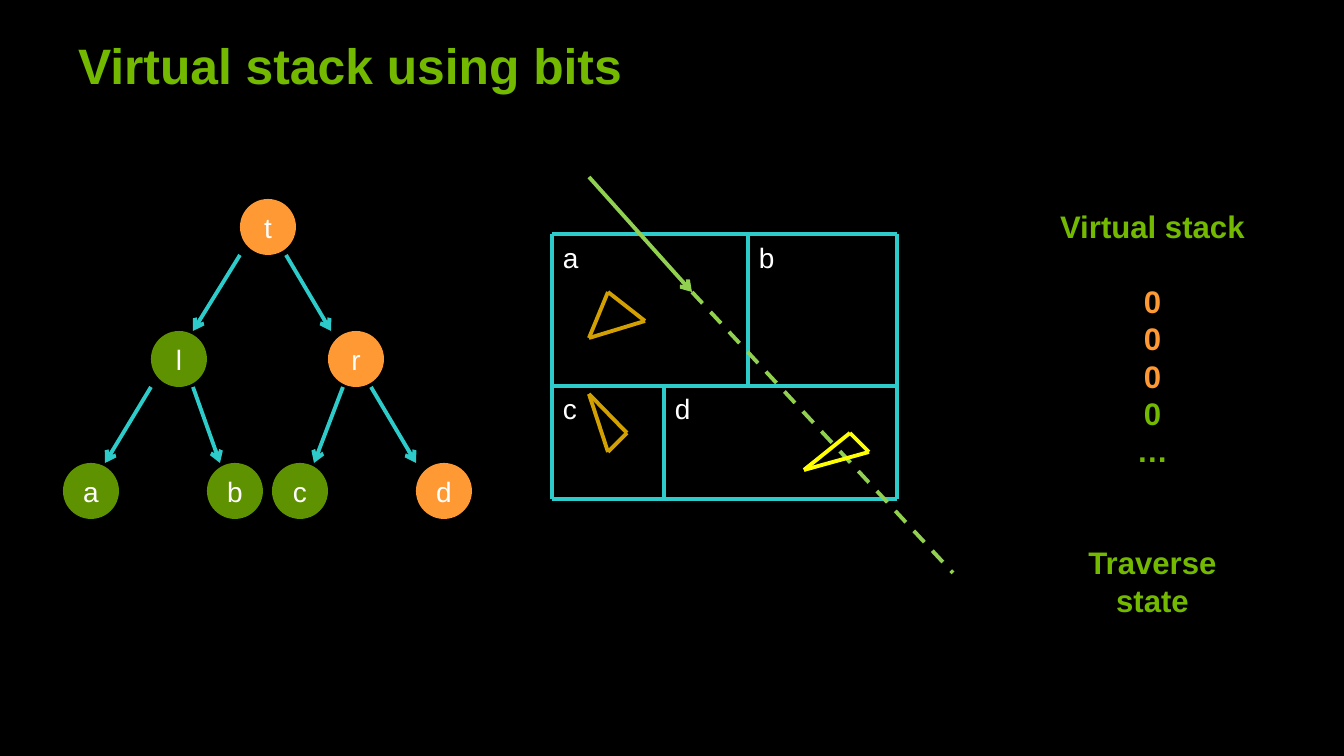
"""Build the slide that explains a virtual stack of bits for tree traversal."""
from itertools import combinations

from lxml.etree import SubElement
from pptx import Presentation
from pptx.dml.color import RGBColor
from pptx.enum.dml import MSO_LINE
from pptx.enum.shapes import MSO_CONNECTOR, MSO_SHAPE
from pptx.enum.text import MSO_ANCHOR, PP_ALIGN
from pptx.oxml.ns import qn
from pptx.util import Pt


class Theme:
    font = "Arial"
    background = RGBColor.from_string("000000")
    heading = RGBColor.from_string("73B900")
    visited = RGBColor.from_string("FF9933")
    skipped = RGBColor.from_string("5E9200")
    label = RGBColor.from_string("FFFFFF")
    cell = RGBColor.from_string("2ECBCB")
    ray = RGBColor.from_string("92D050")
    missed = RGBColor.from_string("D2A000")
    hit = RGBColor.from_string("FFFF00")
    title_size = Pt(32)
    stack_size = Pt(20)
    label_size = Pt(18)
    stack_pitch = Pt(24)
    stroke = Pt(2.5)


def px(*lengths):
    return [round(length * 914400 / 112) for length in lengths]


def write(frame, text, size=Theme.label_size, color=Theme.label, bold=False,
          align=PP_ALIGN.LEFT, anchor=MSO_ANCHOR.TOP, wrap=True,
          pitch=None, before=Pt(0), first=True):
    frame.word_wrap = wrap
    frame.vertical_anchor = anchor
    paragraph = frame.paragraphs[0] if first else frame.add_paragraph()
    paragraph.alignment = align
    paragraph.space_before = before
    if pitch:
        paragraph.line_spacing = pitch
    run = paragraph.add_run()
    run.text = text
    run.font.name = Theme.font
    run.font.size = size
    run.font.bold = bold
    run.font.color.rgb = color


deck = Presentation()
deck.slide_width, deck.slide_height = px(1344, 756)
slide = deck.slides.add_slide(deck.slide_layouts[6])
slide.background.fill.solid()
slide.background.fill.fore_color.rgb = Theme.background
shapes = slide.shapes

title = shapes.add_textbox(*px(67, 30, 1128, 70)).text_frame
write(title, "Virtual stack using bits", size=Theme.title_size,
      color=Theme.heading, bold=True, anchor=MSO_ANCHOR.BOTTOM)

tree_nodes = [
    ("t", 240, 199, Theme.visited),
    ("l", 151, 331, Theme.skipped),
    ("r", 328, 331, Theme.visited),
    ("a", 63, 463, Theme.skipped),
    ("b", 207, 463, Theme.skipped),
    ("c", 272, 463, Theme.skipped),
    ("d", 416, 463, Theme.visited),
]
for name, left, top, color in tree_nodes:
    node = shapes.add_shape(MSO_SHAPE.OVAL, *px(left, top, 56, 56))
    node.shadow.inherit = False
    node.fill.solid()
    node.fill.fore_color.rgb = color
    node.line.fill.background()
    write(node.text_frame, name, align=PP_ALIGN.CENTER, anchor=MSO_ANCHOR.MIDDLE)

tree_edges = [
    (240, 255, 193, 331), (286, 255, 331, 331),
    (151, 387, 105, 463), (193, 387, 220, 463),
    (371, 387, 416, 463), (343, 387, 314, 463),
]
cell_walls = [
    (552, 234, 897, 234), (897, 234, 897, 499), (897, 499, 552, 499),
    (552, 499, 552, 234), (552, 386, 897, 386), (664, 386, 664, 499),
    (748, 234, 748, 386),
]
triangles = [
    (Theme.hit, [(850, 433), (804, 470), (869, 452)]),
    (Theme.missed, [(608, 292), (589, 338), (645, 321)]),
    (Theme.missed, [(589, 394), (627, 433), (608, 452)]),
]
strokes = [(ends, Theme.cell, "arrow") for ends in tree_edges]
strokes += [(ends, Theme.cell, None) for ends in cell_walls]
strokes += [((589, 177, 692, 292), Theme.ray, "arrow"),
            ((692, 292, 953, 573), Theme.ray, "dash")]
strokes += [(start + end, color, None) for color, corners in triangles
            for start, end in combinations(corners, 2)]
for ends, color, style in strokes:
    stroke = shapes.add_connector(MSO_CONNECTOR.STRAIGHT, *px(*ends))
    stroke.line.color.rgb = color
    stroke.line.width = Theme.stroke
    if style == "dash":
        stroke.line.dash_style = MSO_LINE.DASH
    if style == "arrow":
        SubElement(stroke.line._get_or_add_ln(), qn("a:tailEnd"), type="arrow")
    SubElement(stroke._element.spPr, qn("a:effectLst"))

for name, left, top in [("a", 552, 235), ("b", 748, 235), ("c", 552, 386), ("d", 664, 386)]:
    write(shapes.add_textbox(*px(left, top, 38, 45)).text_frame, name, wrap=False)

stack = shapes.add_textbox(*px(1045, 202, 215, 426)).text_frame
stack_lines = [
    ("Virtual stack", Theme.heading, 0),
    ("0", Theme.visited, 1),
    ("0", Theme.visited, 0),
    ("0", Theme.visited, 0),
    ("0", Theme.heading, 0),
    ("…", Theme.heading, 0),
    ("Traverse state", Theme.heading, 2),
]
for index, (text, color, gap) in enumerate(stack_lines):
    write(stack, text, size=Theme.stack_size, color=color, bold=True,
          align=PP_ALIGN.CENTER, pitch=Theme.stack_pitch,
          before=gap * Theme.stack_pitch, first=index == 0)

deck.save("out.pptx")
